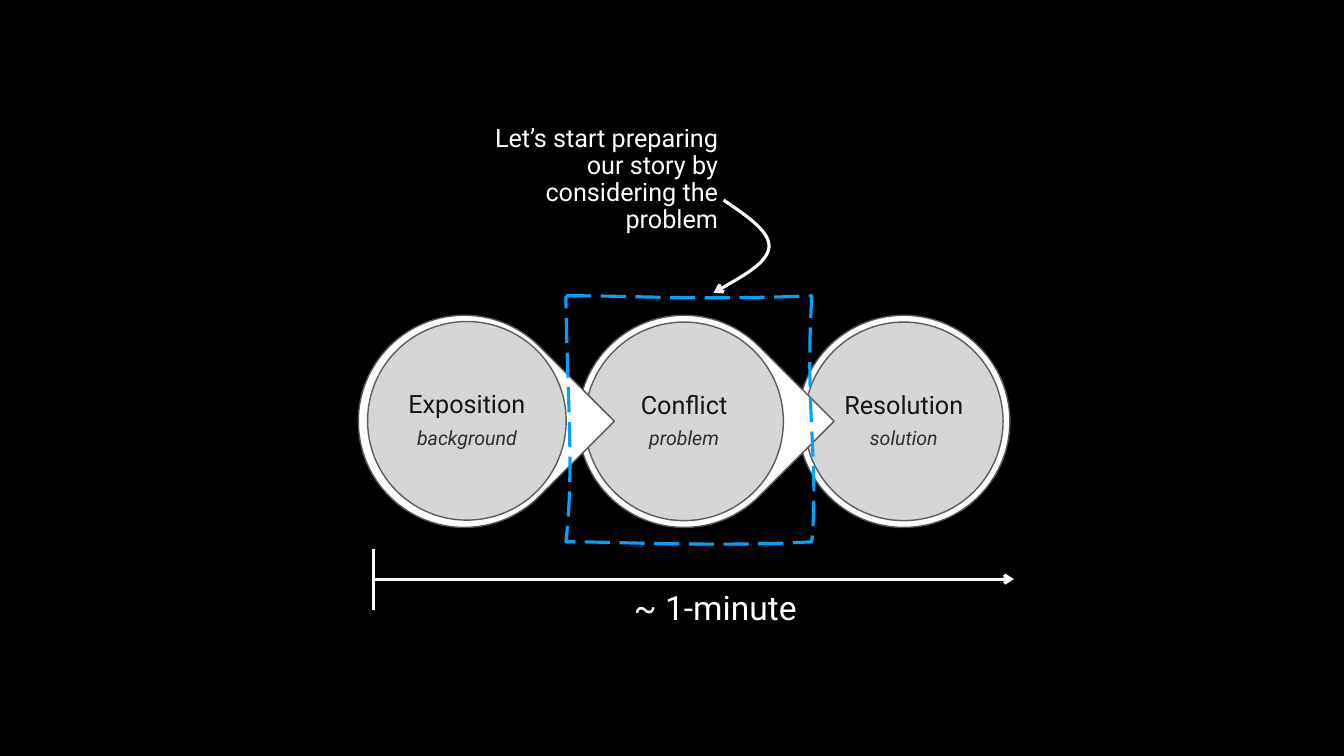
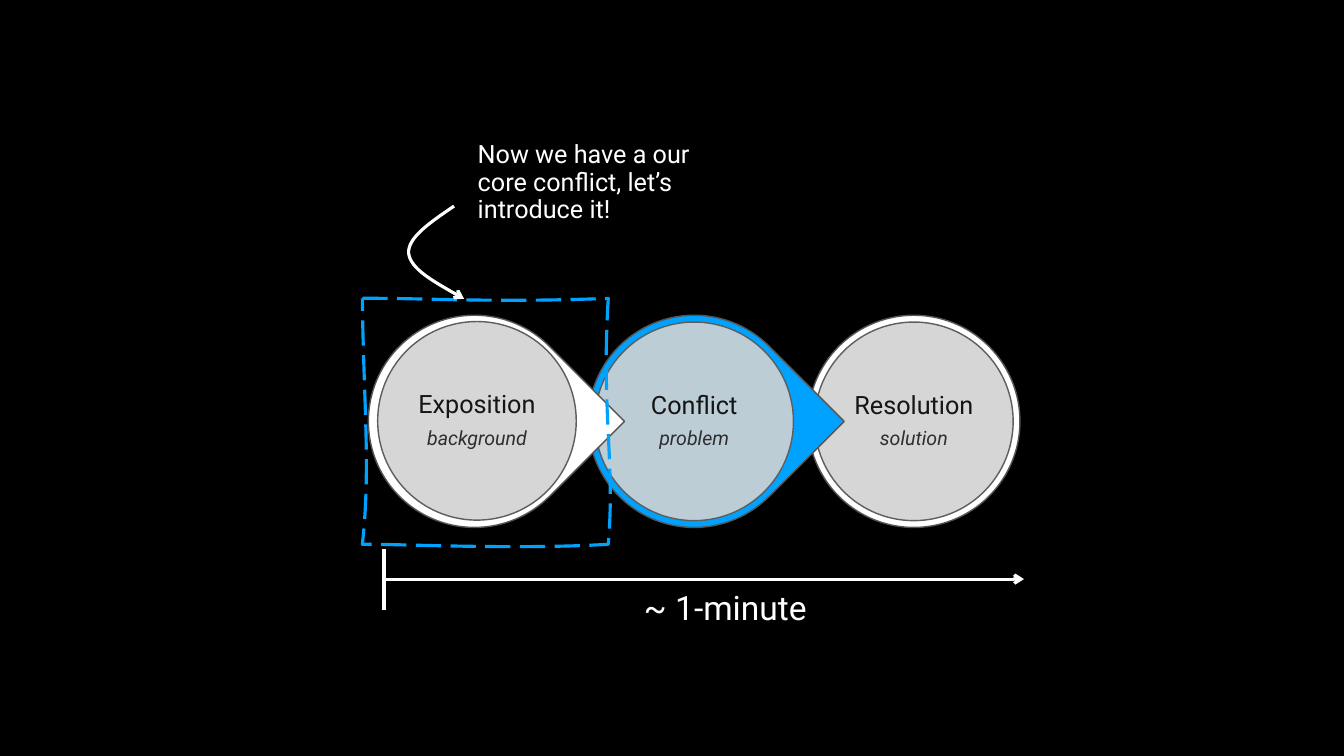
from lxml.etree import SubElement
from pptx import Presentation
from pptx.dml.color import RGBColor
from pptx.enum.dml import MSO_LINE_DASH_STYLE as DASH
from pptx.enum.shapes import MSO_CONNECTOR as CONN, MSO_SHAPE as SHAPE
from pptx.enum.text import MSO_ANCHOR as ANCHOR, MSO_AUTO_SIZE as AUTO, PP_ALIGN as ALIGN
from pptx.oxml.ns import qn
from pptx.util import Inches, Pt

COLORS = {
    "black": "000000",
    "white": "FFFFFF",
    "accent": "00A2FF",
    "disc": "D2D2D2",
    "disc_line": "5E5E5E",
    "ring_line": "555555",
    "heading": "151515",
    "caption": "2F2F2F",
}
FONT = "Roboto"
STAGES = [
    ("Exposition", "background", 0.05, -0.01),
    ("Conflict", "problem", 0, 0),
    ("Resolution", "solution", 0, 0),
]
PITCH, RING, DISC, LABEL = 4.36, 4.21, 3.94, 2.81
FRAME = [
    (0, 0), (1.14, -0.01), (2.63, 0.09), (4.88, 0),
    (4.74, 2.29), (5.02, 3.24), (4.88, 4.88),
    (3.05, 4.99), (0.65, 4.87), (0, 4.88),
    (0.17, 3.38), (0.02, 1.98), (0, 0),
]
HOOK = [
    (0, 0), (0.47, 0.32), (0.93, 0.63), (0.9, 0.94),
    (0.86, 1.24), (0.33, 1.54), (-0.2, 1.84),
]


def rgb(name):
    return RGBColor.from_string(COLORS[name])


def add_paragraph(tf, text, size, color, italic=False, align=ALIGN.CENTER, before=0, after=0):
    p = tf.paragraphs[0] if not tf.text else tf.add_paragraph()
    p.alignment = align
    p.line_spacing = 0.9
    p.space_before, p.space_after = Pt(before), Pt(after)
    r = p.add_run()
    r.text = text
    r.font.name, r.font.size, r.font.italic = FONT, Pt(size), italic
    r.font.color.rgb = rgb(color)


class Deck:
    def __init__(self):
        self.prs = Presentation()
        self.prs.slide_width, self.prs.slide_height = Inches(26.67), Inches(15)
        fill = self.prs.slide_master.background.fill
        fill.solid()
        fill.fore_color.rgb = rgb("black")
        self.shapes = None

    def new_slide(self):
        self.shapes = self.prs.slides.add_slide(self.prs.slide_layouts[6]).shapes

    def stroke(self, sp, color, width, dash=None, arrow=False):
        sp.line.color.rgb = rgb(color)
        sp.line.width = Pt(width)
        if dash:
            sp.line.dash_style = dash
        if arrow:
            SubElement(sp.element.spPr.find(qn("a:ln")), qn("a:tailEnd"), type="arrow")

    def shape(self, kind, cx, cy, size, fill, line, rotation=0, alpha=None):
        sp = self.shapes.add_shape(
            kind, Inches(cx - size / 2), Inches(cy - size / 2), Inches(size), Inches(size))
        sp.shadow.inherit = False
        sp.rotation = rotation
        sp.fill.solid()
        sp.fill.fore_color.rgb = rgb(fill)
        if alpha:
            clr = sp.element.spPr.find(qn("a:solidFill"))[0]
            SubElement(clr, qn("a:alpha"), val=str(alpha * 1000))
        self.stroke(sp, line, 2)

    def text_box(self, x, y, w, h, inset=0.06, grow=True):
        tf = self.shapes.add_textbox(Inches(x), Inches(y), Inches(w), Inches(h)).text_frame
        tf.word_wrap = True
        tf.auto_size = AUTO.SHAPE_TO_FIT_TEXT if grow else AUTO.NONE
        tf.vertical_anchor = ANCHOR.MIDDLE
        tf.margin_left = tf.margin_right = tf.margin_top = tf.margin_bottom = Inches(inset)
        return tf

    def line(self, x1, y1, x2, y2, arrow=False):
        sp = self.shapes.add_connector(
            CONN.STRAIGHT, Inches(x1), Inches(y1), Inches(x2), Inches(y2))
        self.stroke(sp, "white", 4.5, arrow=arrow)
        SubElement(sp.element.spPr, qn("a:effectLst"))

    def curve(self, points, x, y, color, flip=1, closed=False, **style):
        pts = [(Inches(x + flip * dx), Inches(y + dy)) for dx, dy in points]
        builder = self.shapes.build_freeform(*pts[0])
        builder.add_line_segments(pts[1:], close=closed)
        sp = builder.convert_to_shape()
        segments = list(sp.element.iter(qn("a:lnTo")))
        for first, second, third in zip(segments[::3], segments[1::3], segments[2::3]):
            first.tag = qn("a:cubicBezTo")
            for seg in (second, third):
                first.append(seg[0])
                seg.getparent().remove(seg)
        sp.shadow.inherit = False
        sp.fill.background()
        self.stroke(sp, color, 4.5, **style)

    def stage(self, index, left, ring):
        heading, caption, dx, dy = STAGES[index]
        cx, cy = left + RING / 2 + index * PITCH, 8.36
        last = index == len(STAGES) - 1
        kind, rotation = (SHAPE.OVAL, 0) if last else (SHAPE.TEAR, 45)
        self.shape(kind, cx, cy, RING, ring, "ring_line", rotation)
        cx, cy = cx + dx, cy + dy
        self.shape(SHAPE.OVAL, cx, cy, DISC, "disc", "disc_line", alpha=90)
        tf = self.text_box(cx - LABEL / 2, cy - LABEL / 2, LABEL, LABEL, 0.05, False)
        add_paragraph(tf, heading, 36, "heading", after=12.6)
        add_paragraph(tf, caption, 28, "caption", italic=True, after=9.8)

    def story(self, left, done=()):
        self.new_slide()
        for index in reversed(range(len(STAGES))):
            self.stage(index, left, "accent" if index in done else "white")
        tf = self.text_box(left + 4.12, 11.37, 5.93, 1.47)
        add_paragraph(tf, "~ 1-minute", 48, "white", before=45)
        start = left + 0.31
        self.line(start, 10.89, start, 12.1)
        self.line(start, 11.49, start + 12.7, 11.49, arrow=True)

    def callout(self, text, box, align, frame, hook, flip):
        self.curve(FRAME, *frame, "accent", closed=True, dash=DASH.LONG_DASH)
        add_paragraph(self.text_box(*box), text, 36, "white", align=align, before=45)
        self.curve(HOOK, *hook, "white", flip=flip, arrow=True)


def main():
    deck = Deck()
    deck.story(7.11)
    deck.callout("Let’s start preparing our story by considering the problem",
                 (9.43, 2.11, 4.88, 2.92), ALIGN.RIGHT, (11.23, 5.87), (14.36, 3.97), 1)
    deck.story(7.31, done=(1,))
    deck.callout("Now we have a our core conflict, let’s introduce it!",
                 (9.42, 2.44, 4.88, 2.38), ALIGN.LEFT, (7.19, 5.92), (9.01, 4.09), -1)
    deck.prs.save("out.pptx")


if __name__ == "__main__":
    main()
